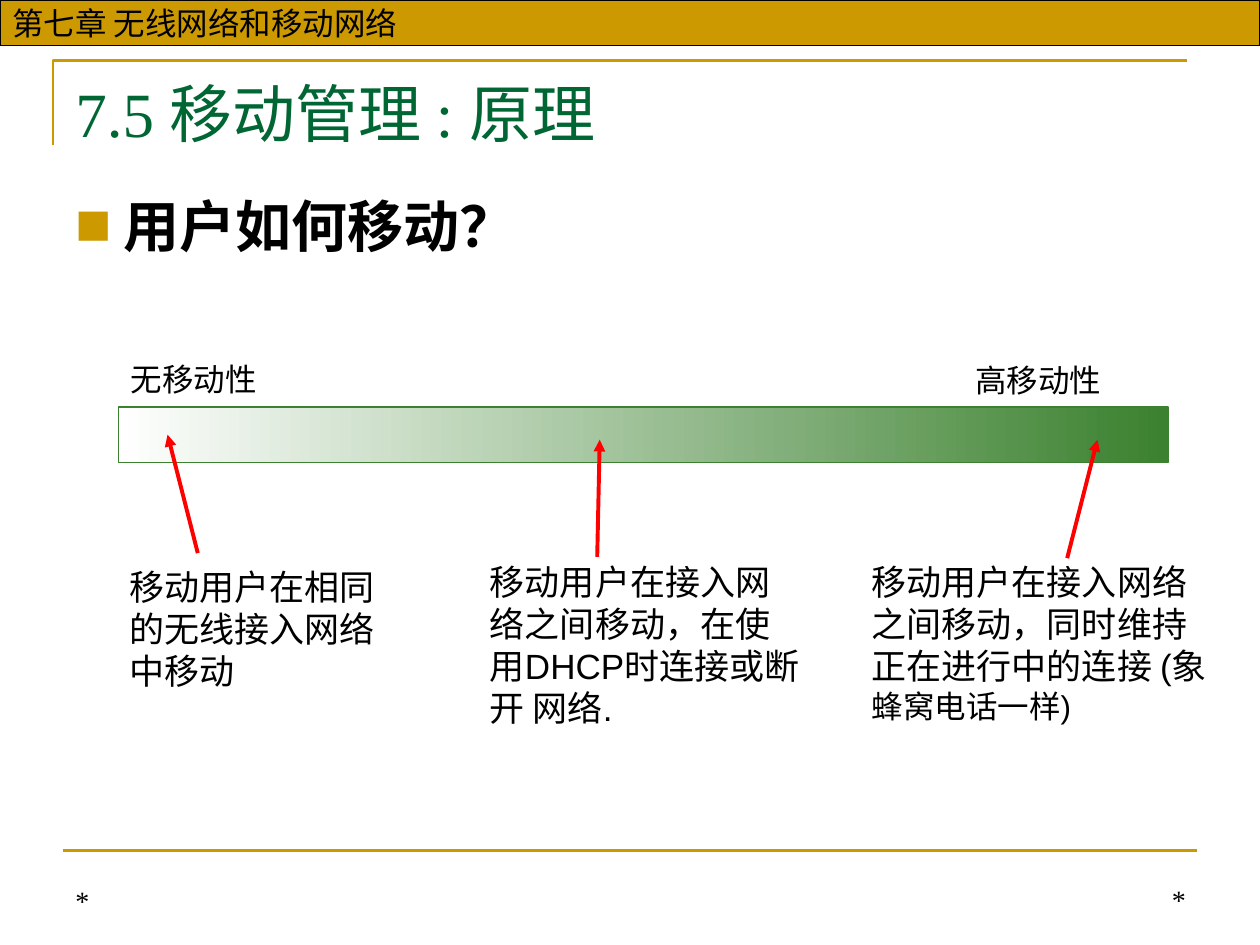
"""Build the slide on the principle of mobility management in wireless networks."""
import lxml.etree
import pptx
import pptx.dml.color
import pptx.enum.shapes
import pptx.enum.text
import pptx.oxml.ns
import pptx.util

GOLD = pptx.dml.color.RGBColor(0xCC, 0x99, 0x00)
BLACK = pptx.dml.color.RGBColor(0x00, 0x00, 0x00)
WHITE = pptx.dml.color.RGBColor(0xFF, 0xFF, 0xFF)
TITLE_GREEN = pptx.dml.color.RGBColor(0x00, 0x66, 0x33)
BAR_GREEN = pptx.dml.color.RGBColor(0x3B, 0x81, 0x2F)
RED = pptx.dml.color.RGBColor(0xFF, 0x00, 0x00)
LEFT = pptx.enum.text.PP_ALIGN.LEFT
RIGHT = pptx.enum.text.PP_ALIGN.RIGHT
TOP = pptx.enum.text.MSO_ANCHOR.TOP
MIDDLE = pptx.enum.text.MSO_ANCHOR.MIDDLE
BOTTOM = pptx.enum.text.MSO_ANCHOR.BOTTOM
RECTANGLE = pptx.enum.shapes.MSO_SHAPE.RECTANGLE
CJK_FONT = "Noto Sans CJK SC"

presentation = pptx.Presentation()
presentation.slide_width = pptx.util.Inches(10)
presentation.slide_height = pptx.util.Inches(7.5)
column = presentation.slide_width / 100
row = presentation.slide_height / 75
slide = presentation.slides.add_slide(presentation.slide_layouts[6])


def write_text(text, shape=None, at=None, size=18, font="Arial", color=BLACK,
               bold=False, align=LEFT, anchor=TOP, wrap=True, bullet=None):
    if shape is None:
        left, top, width, height = at
        shape = slide.shapes.add_textbox(round(left * column), round(top * row),
                                         round(width * column), round(height * row))
    frame = shape.text_frame
    frame.word_wrap = wrap
    frame.vertical_anchor = anchor
    paragraph = frame.paragraphs[0]
    paragraph.alignment = align
    if bullet:
        properties = paragraph._p.get_or_add_pPr()
        indent = round(3.8 * column)
        properties.set("marL", str(indent))
        properties.set("indent", str(-indent))
        for tag, name, value in (("buClr", None, None), ("buSzPct", "val", "65000"),
                                 ("buFont", "typeface", CJK_FONT), ("buChar", "char", bullet)):
            element = lxml.etree.SubElement(properties, pptx.oxml.ns.qn(f"a:{tag}"))
            if name:
                element.set(name, value)
            else:
                lxml.etree.SubElement(element, pptx.oxml.ns.qn("a:srgbClr")).set("val", str(GOLD))
    pieces = [(text, size)] if isinstance(text, str) else text
    for words, points in pieces:
        run = paragraph.add_run()
        run.text = words
        run.font.size = pptx.util.Pt(points)
        run.font.name = font
        run.font.bold = bold
        run.font.color.rgb = color
        east_asian = lxml.etree.SubElement(run.font._element, pptx.oxml.ns.qn("a:ea"))
        east_asian.set("typeface", CJK_FONT)


def draw_line(start, end, color, weight, arrow=False):
    connector = slide.shapes.add_connector(
        pptx.enum.shapes.MSO_CONNECTOR.STRAIGHT,
        round(start[0] * column), round(start[1] * row),
        round(end[0] * column), round(end[1] * row))
    connector.line.color.rgb = color
    connector.line.width = pptx.util.Pt(weight)
    if arrow:
        line = connector.line._get_or_add_ln()
        lxml.etree.SubElement(line, pptx.oxml.ns.qn("a:tailEnd")).set("type", "triangle")
    lxml.etree.SubElement(connector._element.spPr, pptx.oxml.ns.qn("a:effectLst"))


builder = slide.shapes.build_freeform(round(4.2 * column), round(11.5 * row))
builder.add_line_segments([(round(4.2 * column), round(4.8 * row)),
                           (round(94.2 * column), round(4.8 * row))], close=False)
title_corner = builder.convert_to_shape()
title_corner.shadow.inherit = False
title_corner.fill.background()
title_corner.line.color.rgb = GOLD
title_corner.line.width = pptx.util.Pt(1.5)

draw_line((5, 67.5), (95, 67.5), GOLD, 1.5)

chapter_band = slide.shapes.add_shape(RECTANGLE, 0, 0, presentation.slide_width, round(3.6 * row))
chapter_band.shadow.inherit = False
chapter_band.fill.solid()
chapter_band.fill.fore_color.rgb = GOLD
chapter_band.line.color.rgb = BLACK
chapter_band.line.width = pptx.util.Pt(0.75)
write_text("第七章 无线网络和移动网络", shape=chapter_band, anchor=MIDDLE, wrap=False)

for place, side in (((5, 68.3, 23.3, 5), LEFT), ((63.4, 68.2, 31.7, 5), RIGHT)):
    write_text("*", at=place, size=16, font="Times New Roman", align=side, anchor=BOTTOM)

write_text("7.5 移动管理 : 原理", at=(5, 5.4, 90, 7.7), size=36,
           font="Times New Roman", color=TITLE_GREEN)
write_text("用户如何移动？", at=(5, 14.7, 90, 52), size=32, font=CJK_FONT,
           bold=True, bullet="■")

mobility_bar = slide.shapes.add_shape(RECTANGLE, round(9.4 * column), round(32.3 * row),
                                      round(83.3 * column), round(4.4 * row))
mobility_bar.shadow.inherit = False
mobility_bar.fill.gradient()
mobility_bar.fill.gradient_angle = 0
for stop, position, shade in zip(mobility_bar.fill.gradient_stops, (0, 1), (WHITE, BAR_GREEN)):
    stop.position = position
    stop.color.rgb = shade
mobility_bar.line.color.rgb = BAR_GREEN
mobility_bar.line.width = pptx.util.Pt(0.75)

for label, left, top in (("无移动性", 9.4, 28.1), ("高移动性", 76.4, 28.2)):
    write_text(label, at=(left, top, 12, 4), wrap=False)

cases = [
    ("移动用户在相同的无线接入网络中移动",
     (9.3, 44.4, 22.7, 11), (15.7, 43.9), (13.3, 34.5)),
    ([("移动用户在接入网络之间移动，同时维持正在进行中的连接 (象", 20), ("蜂窝电话一样)", 18)],
     (68.2, 44, 29.4, 14.4), (84.7, 44.3), (87.1, 34.9)),
    ("移动用户在接入网络之间移动，在使用DHCP时连接或断开 网络.",
     (37.9, 44, 26.6, 14.4), (47.4, 44.2), (47.6, 34.9)),
]
for description, place, start, end in cases:
    write_text(description, at=place, size=20)
    draw_line(start, end, RED, 2.25, arrow=True)

presentation.save("out.pptx")
